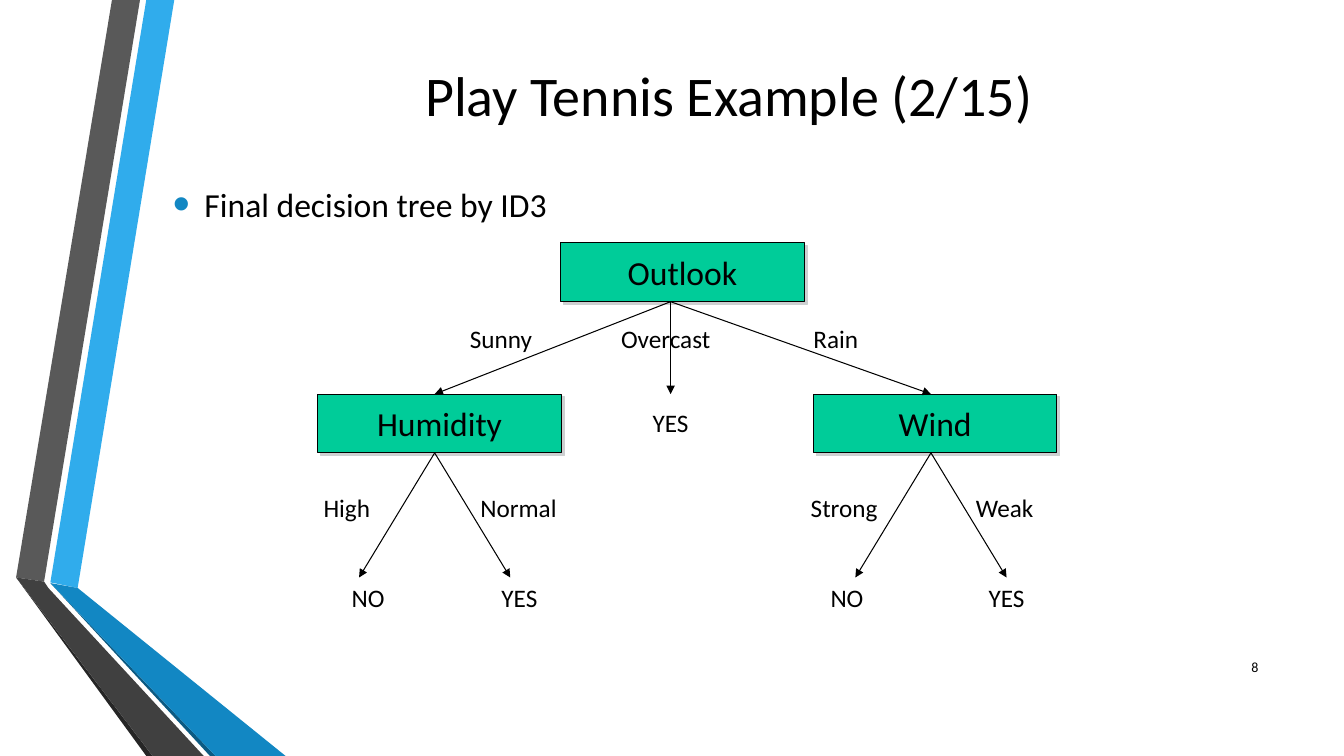
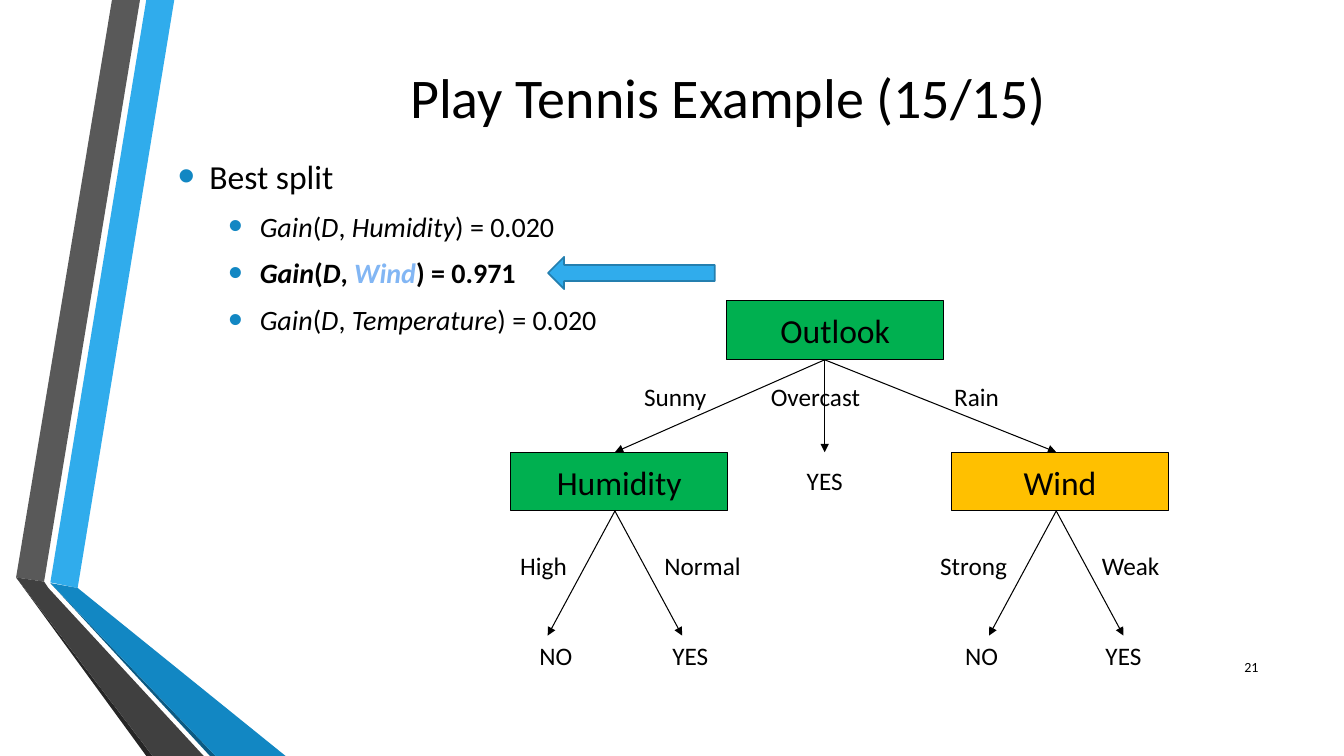
import dataclasses
import lxml.etree
import pptx
import pptx.dml.color
import pptx.enum.shapes
import pptx.enum.text
import pptx.oxml.ns
import pptx.util

Pt = pptx.util.Pt
qn = pptx.oxml.ns.qn
ALIGN = pptx.enum.text.PP_ALIGN
ANCHOR = pptx.enum.text.MSO_ANCHOR
SHAPE = pptx.enum.shapes.MSO_SHAPE
LINE = pptx.enum.shapes.MSO_CONNECTOR.STRAIGHT


@dataclasses.dataclass(frozen=True)
class Theme:
    font: str = "Calibri"
    ink: str = "000000"
    sky: str = "30ACEC"
    blue: str = "1287C3"
    navy: str = "0C5A82"
    rim: str = "247FAF"
    pale: str = "82B6F4"
    ash: str = "595959"
    coal: str = "404040"
    soot: str = "262626"
    mint: str = "00CC99"
    green: str = "00B050"
    gold: str = "FFC000"
    shade: str = "CDD0D1"
    title: int = 40
    head: int = 24
    sub: int = 20
    label: int = 18
    page: int = 10


THEME = Theme()
WIDTH, HEIGHT = 960, 540

BANDS = (
    (THEME.sky, ((36, 416), (55.5, 420), (124.5, 0), (104.5, 0))),
    (THEME.ash, ((100, 0), (80, 0), (11.5, 412.5), (31.5, 415.5))),
    (THEME.soot, ((11.5, 412.5), (104.5, HEIGHT), (109, HEIGHT))),
    (THEME.navy, ((36, 416.5), (150, HEIGHT), (154, HEIGHT))),
    (THEME.blue, ((36, 416.5), (154, HEIGHT), (204, HEIGHT), (55.5, 420))),
    (THEME.coal, ((145.5, HEIGHT), (34.5, 420), (31.5, 415.5),
                  (11.5, 412.5), (109, HEIGHT))),
)

SPAN = 528
NODE_W, NODE_H, DROP = 174, 42, 108
HUB, LEFT, RIGHT = 252, 83.5, 438
REACH, LEAF_Y = 54, 239
LABEL_W, LABEL_H = 84, 29
NODES = (("Outlook", 173.5, 0), ("Humidity", 0, DROP), ("Wind", 354, DROP))
EDGES = [(HUB, NODE_H, end, DROP) for end in (LEFT, HUB, RIGHT)] + [
    (stem, DROP + NODE_H, stem + side, LEAF_Y)
    for stem in (LEFT, RIGHT) for side in (-REACH, REACH)]
TESTS = (("Sunny", 54), ("Overcast", 54), ("Rain", 54), ("High", 174.5),
         ("Normal", 174.5), ("Strong", 174.5), ("Weak", 174.5))
LEAVES = (("YES", HUB, 114), ("NO", 36, LEAF_Y), ("YES", 144, LEAF_Y),
          ("NO", 378, LEAF_Y), ("YES", 492, LEAF_Y))


def tint(code):
    return pptx.dml.color.RGBColor.from_string(code)


def style(para, size, align=ALIGN.LEFT, bold=False):
    para.alignment = align
    font = para.font
    font.name, font.size, font.bold = THEME.font, Pt(size), bold
    font.color.rgb = tint(THEME.ink)


def paint(shape, fill, line=None, weight=0.75):
    shape.shadow.inherit = False
    shape.fill.solid()
    shape.fill.fore_color.rgb = tint(fill)
    if line:
        shape.line.color.rgb = tint(line)
        shape.line.width = Pt(weight)
    else:
        shape.line.fill.background()


def frame(slide, box, anchor=ANCHOR.TOP):
    text = slide.shapes.add_textbox(*map(Pt, box)).text_frame
    text.word_wrap = True
    text.vertical_anchor = anchor
    return text


def write(slide, box, words, size, align=ALIGN.LEFT, anchor=ANCHOR.TOP):
    para = frame(slide, box, anchor).paragraphs[0]
    para.text = words
    style(para, size, align)


def bands(slide):
    for fill, points in BANDS:
        first, *rest = [(Pt(x), Pt(y)) for x, y in points]
        path = slide.shapes.build_freeform(*first)
        path.add_line_segments(rest)
        paint(path.convert_to_shape(), fill)


def base(deck, title, box, page):
    slide = deck.slides.add_slide(deck.slide_layouts[6])
    bands(slide)
    write(slide, box, title, THEME.title, ALIGN.CENTER, ANCHOR.MIDDLE)
    write(slide, (862.5, 462, 43.5, 29), page, THEME.page,
          ALIGN.RIGHT, ANCHOR.MIDDLE)
    return slide


def bullet(para, level):
    para.level = level
    para.space_before, para.space_after = Pt(3.5), Pt(6)
    props = para._p.get_or_add_pPr()
    props.set("marL", str(Pt(22.5 + 36 * level)))
    props.set("indent", str(Pt(-22.5)))
    hue = lxml.etree.SubElement(props, qn("a:buClr"))
    lxml.etree.SubElement(hue, qn("a:srgbClr"), val=THEME.blue)
    lxml.etree.SubElement(props, qn("a:buSzPct"), val="145000")
    lxml.etree.SubElement(props, qn("a:buFont"), typeface="Arial")
    lxml.etree.SubElement(props, qn("a:buChar"), char="•")


def body(slide, box, head, gains=()):
    text = frame(slide, box)
    para = text.paragraphs[0]
    para.text = head
    bullet(para, 0)
    style(para, THEME.head)
    for name, value, best in gains:
        para = text.add_paragraph()
        bullet(para, 1)
        style(para, THEME.sub, bold=best)
        parts = ("Gain", "(", "D", ", ", name, f") = {value}")
        for spot, part in enumerate(parts):
            run = para.add_run()
            run.text = part
            run.font.italic = spot % 2 == 0
            if best and part == name:
                run.font.color.rgb = tint(THEME.pale)


def shade(shape):
    effect = shape._element.spPr.find(qn("a:effectLst"))
    outer = lxml.etree.SubElement(
        effect, qn("a:outerShdw"), dist=str(Pt(2.8)), dir="2700000",
        algn="ctr", rotWithShape="0")
    lxml.etree.SubElement(outer, qn("a:srgbClr"), val=THEME.shade)


def node(slide, box, name, fill, raised):
    shape = slide.shapes.add_shape(SHAPE.RECTANGLE, *map(Pt, box))
    paint(shape, fill, THEME.ink)
    if raised:
        shade(shape)
    text = shape.text_frame
    text.word_wrap = False
    text.vertical_anchor = ANCHOR.MIDDLE
    text.text = name
    style(text.paragraphs[0], THEME.head, ALIGN.CENTER)


def arrow(slide, ends):
    line = slide.shapes.add_connector(LINE, *map(Pt, ends))
    line.line.color.rgb = tint(THEME.ink)
    line.line.width = Pt(0.75)
    props = line._element.spPr
    lxml.etree.SubElement(props.find(qn("a:ln")), qn("a:tailEnd"),
                          type="triangle")
    lxml.etree.SubElement(props, qn("a:effectLst"))


def tree(slide, box, fills, spots, raised=False):
    left, top, width = box
    scale = width / SPAN
    for (name, x, y), fill in zip(NODES, fills):
        place = (left + x * scale, top + y, NODE_W * scale, NODE_H)
        node(slide, place, name, fill, raised)
    for x1, y1, x2, y2 in EDGES:
        arrow(slide, (left + x1 * scale, top + y1,
                      left + x2 * scale, top + y2))
    for (name, y), x in zip(TESTS, spots):
        write(slide, (left + x, top + y, LABEL_W, LABEL_H), name, THEME.label)
    for name, x, y in LEAVES:
        place = (left + x * scale - LABEL_W / 2, top + y, LABEL_W, LABEL_H)
        write(slide, place, name, THEME.label, ALIGN.CENTER)


def final(deck):
    slide = base(deck, "Play Tennis Example (2/15)",
                 (126, -1.5, 789, 138), "8")
    body(slide, (116.5, 127.5, 789, 40), "Final decision tree by ID3")
    tree(slide, (227, 173.5, SPAN), (THEME.mint,) * 3,
         (101.5, 209.5, 347, -3, 109, 345, 463), raised=True)


def split(deck):
    slide = base(deck, "Play Tennis Example (15/15)",
                 (125.5, 0, 789, 138), "21")
    body(slide, (120, 107.5, 789, 150), "Best split",
         (("Humidity", "0.020", False), ("Wind", "0.971", True),
          ("Temperature", "0.020", False)))
    tree(slide, (365, 215, 469.5), (THEME.green, THEME.green, THEME.gold),
         (88, 178.5, 309.5, -0.5, 102.5, 299.5, 415))
    mark = slide.shapes.add_shape(
        SHAPE.LEFT_ARROW, *map(Pt, (391.5, 183.5, 119, 23)))
    paint(mark, THEME.sky, THEME.rim, 1.25)


def main():
    deck = pptx.Presentation()
    deck.slide_width, deck.slide_height = Pt(WIDTH), Pt(HEIGHT)
    final(deck)
    split(deck)
    deck.save("out.pptx")


if __name__ == "__main__":
    main()
